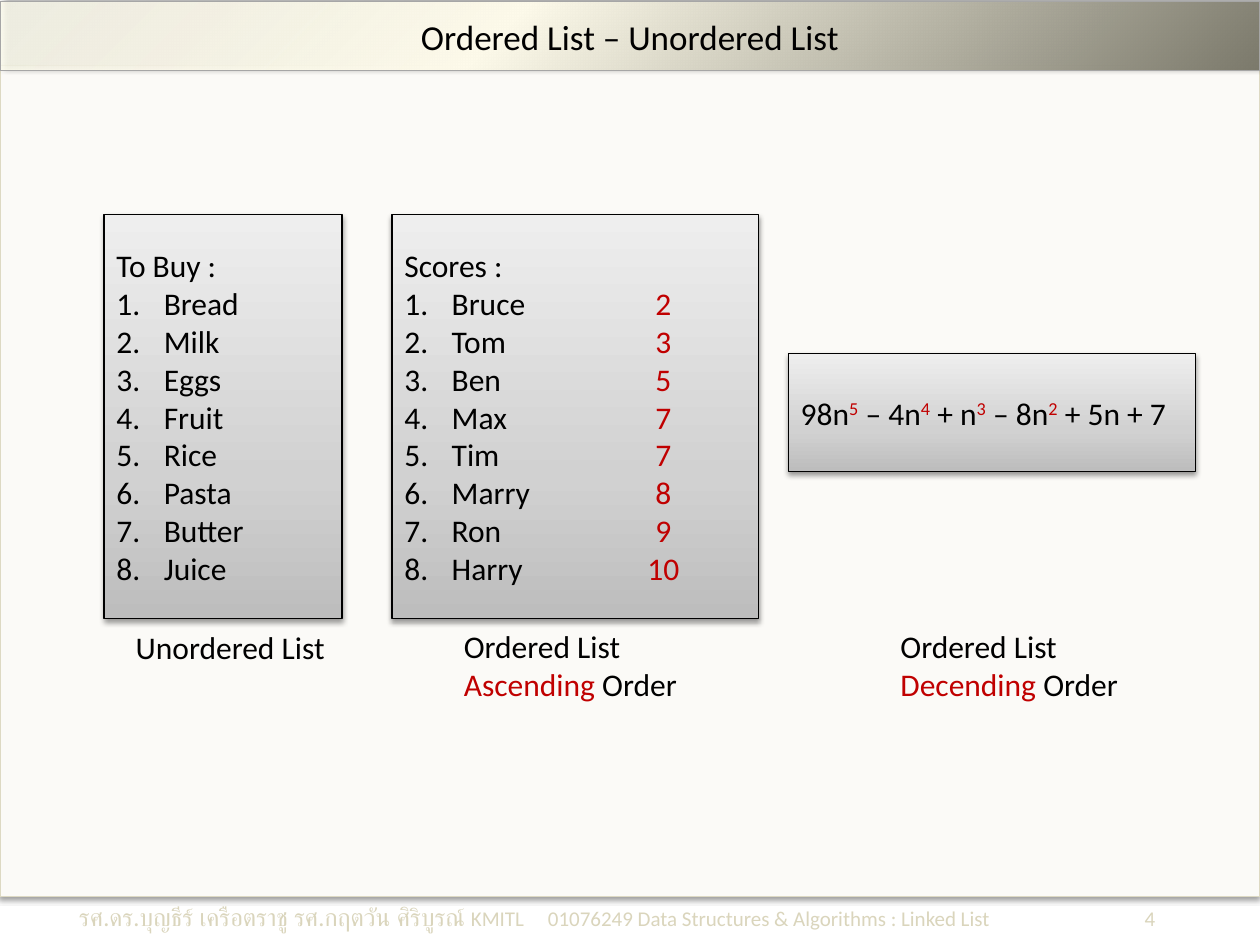
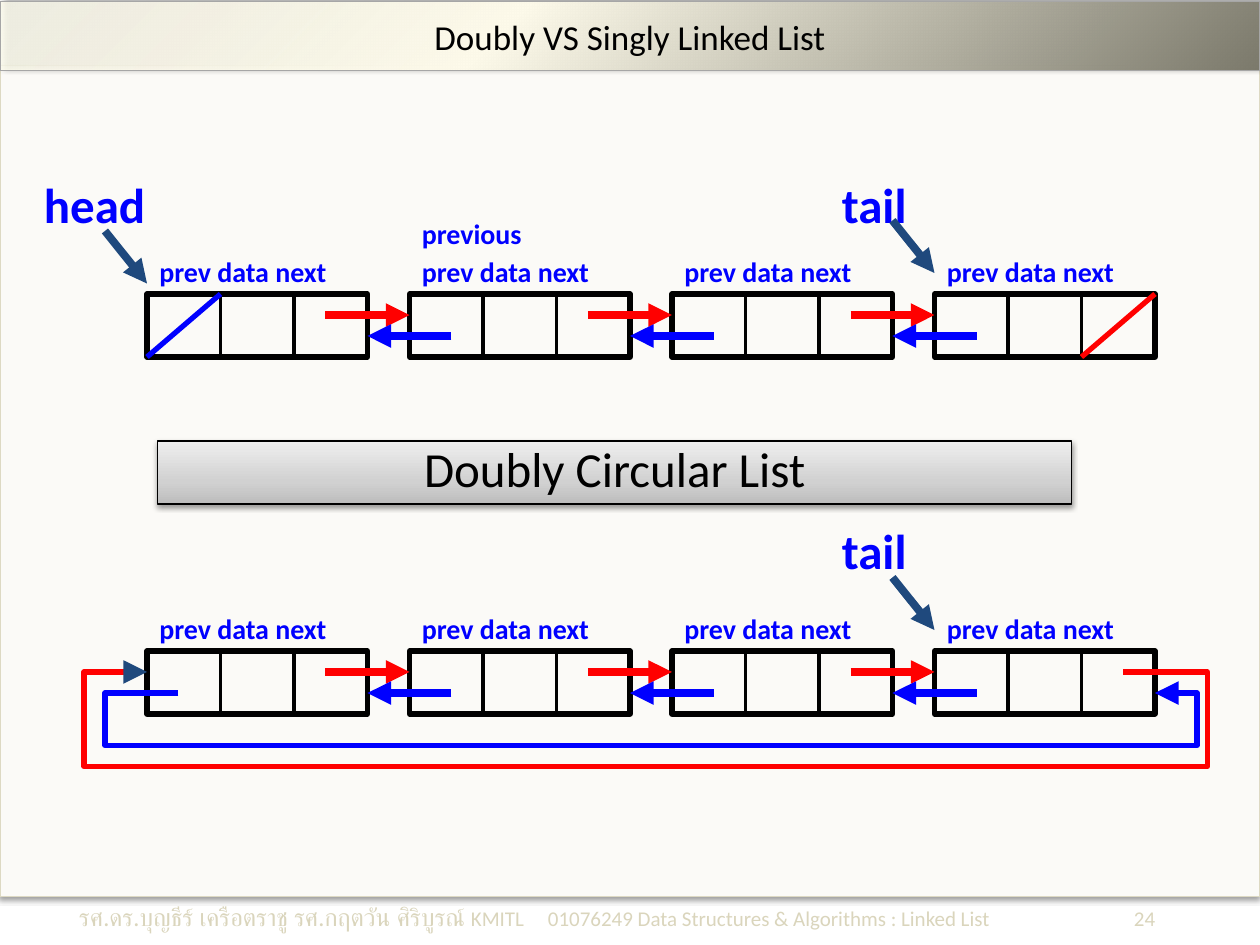
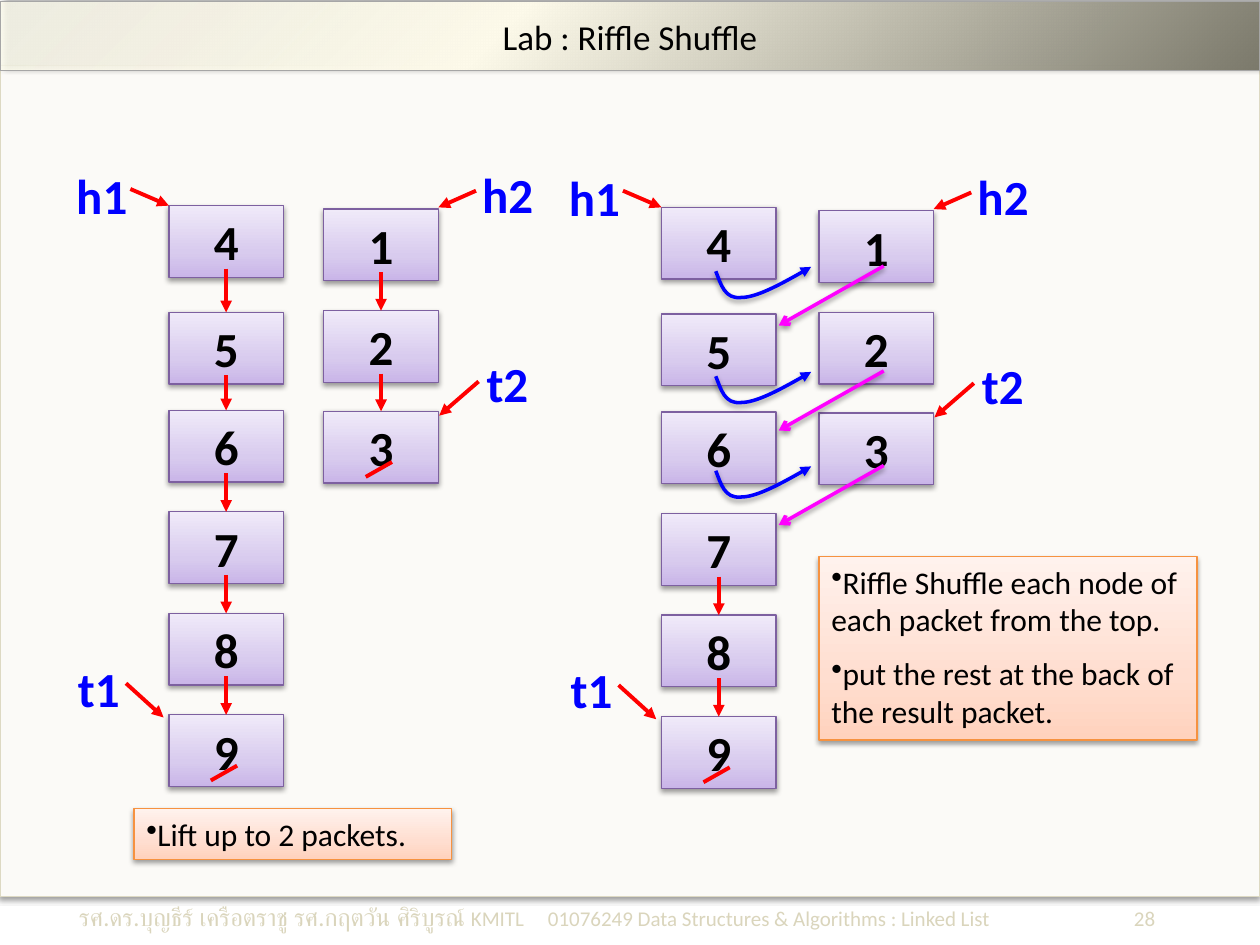
from dataclasses import dataclass

from lxml.etree import SubElement
from pptx import Presentation
from pptx.dml.color import RGBColor
from pptx.enum.shapes import MSO_CONNECTOR, MSO_SHAPE
from pptx.enum.text import MSO_ANCHOR as ANCHOR, PP_ALIGN as ALIGN
from pptx.oxml.ns import qn
from pptx.util import Pt


@dataclass(frozen=True)
class Theme:
    font: str = "Calibri"
    # type sizes
    title: int = 20
    body: int = 18
    large: int = 28
    label: int = 16
    thai: int = 14
    small: int = 12
    # colours
    black: str = "000000"
    accent: str = "C00000"
    red: str = "FF0000"
    blue: str = "0000FF"
    navy: str = "1F497D"
    magenta: str = "FF00FF"
    panel: str = "FBFAF7"
    panel_line: str = "DDD9C3"
    footer: str = "DAD5BC"
    band_line: str = "A6A6A6"
    violet_line: str = "7D60A0"
    orange_line: str = "F69240"
    # gradients: angle, then (position, colour, opacity) in percent
    band: tuple = (45, (0, "FEFCEE", 79), (40, "FDFAEA", 100), (100, "7B796B", 100))
    grey: tuple = (270, (0, "BDBDBD", 100), (35, "D1D1D1", 100), (100, "EEEEEE", 100))
    violet: tuple = (270, (0, "C9B5E8", 100), (35, "D8CBEE", 100), (100, "F0EAF9", 100))
    orange: tuple = (270, (0, "FFD2BD", 100), (35, "FFDED0", 100), (100, "FFF2ED", 100))
    # shadows: opacity, blur, distance, direction
    drop: tuple = (38, 3.1, 1.6, 90)
    band_drop: tuple = (40, 4, 3, 315)


T = Theme()


# ---- formatting helpers ----
def rgb(value):
    return RGBColor.from_string(value)


def child(parent, tag, **attrs):
    return SubElement(parent, qn(tag), {k: str(v) for k, v in attrs.items()})


def color_node(parent, color, opacity):
    node = child(parent, "a:srgbClr", val=color)
    child(node, "a:alpha", val=opacity * 1000)


def set_fill(sp, fill):
    if isinstance(fill, str):
        sp.fill.solid()
        sp.fill.fore_color.rgb = rgb(fill)
        return
    sp.fill.background()
    if fill:
        angle, *stops = fill
        spPr = sp._element.spPr
        empty = spPr.find(qn("a:noFill"))
        grad = child(spPr, "a:gradFill", rotWithShape=1)
        spPr.replace(empty, grad)
        stop_list = child(grad, "a:gsLst")
        for pos, color, opacity in stops:
            color_node(child(stop_list, "a:gs", pos=pos * 1000), color, opacity)
        child(grad, "a:lin", ang=angle * 60000, scaled=0)


def set_line(sp, color, width, head=None):
    sp.line.color.rgb = rgb(color)
    sp.line.width = Pt(width)
    if head:
        child(sp.line._get_or_add_ln(), "a:tailEnd", type=head)


def set_shadow(sp, shadow):
    spPr = sp._element.spPr
    effects = spPr.find(qn("a:effectLst"))
    if effects is None:
        effects = child(spPr, "a:effectLst")
    if shadow:
        opacity, blur, dist, angle = shadow
        node = child(effects, "a:outerShdw", blurRad=Pt(blur), dist=Pt(dist),
                     dir=angle * 60000, rotWithShape=0)
        color_node(node, T.black, opacity)


def style(sp, fill, line, width=0.75, shadow=T.drop):
    sp.shadow.inherit = False
    set_fill(sp, fill)
    set_line(sp, line, width)
    set_shadow(sp, shadow)


def place(sp, box):
    sp.left, sp.top, sp.width, sp.height = map(Pt, box)


def set_tabs(p, *stops):
    tabs = child(p._p.get_or_add_pPr(), "a:tabLst")
    for pos, align in stops:
        child(tabs, "a:tab", pos=Pt(pos), algn=align)


def add_number(p):
    pPr = p._p.get_or_add_pPr()
    pPr.set("marL", str(Pt(27)))
    pPr.set("indent", str(-Pt(27)))
    child(pPr, "a:buAutoNum", type="arabicPeriod")


def add_bullet(p):
    child(p._p.get_or_add_pPr(), "a:buChar", char="•")


def accent(text, raised=False):
    return text, raised


def write(tf, lines, size=T.body, color=T.black, bold=False, align=ALIGN.LEFT,
          anchor=ANCHOR.TOP, prepare=None):
    """Each line is a string or a list of strings and accent() parts."""
    tf.word_wrap = True
    tf.vertical_anchor = anchor
    for i, line in enumerate(lines):
        p = tf.paragraphs[0] if i == 0 else tf.add_paragraph()
        if prepare:
            prepare(i, p)
        p.alignment = align
        p.font.name, p.font.size, p.font.bold = T.font, Pt(size), bold
        p.font.color.rgb = rgb(color)
        for part in [line] if isinstance(line, str) else line:
            r = p.add_run()
            if isinstance(part, str):
                r.text = part
                continue
            r.text, raised = part
            r.font.color.rgb = rgb(T.accent)
            if raised:
                r.font._element.set("baseline", "30000")


# ---- drawing helpers ----
def add_box(s, box, fill, line, width=0.75, shadow=T.drop):
    sp = s.shapes.add_shape(MSO_SHAPE.RECTANGLE, *map(Pt, box))
    style(sp, fill, line, width, shadow)
    return sp


def add_text(s, box, lines, **fmt):
    sp = s.shapes.add_textbox(*map(Pt, box))
    write(sp.text_frame, lines, **fmt)
    return sp


def add_label(s, box, text, size=T.large):
    add_text(s, box, [text], size=size, color=T.blue, bold=True)


def add_line(s, x, y, start, end, color, width, head=None, shadow=None):
    """Draw from start to end, both relative to (x, y)."""
    cx = s.shapes.add_connector(MSO_CONNECTOR.STRAIGHT, Pt(x + start[0]), Pt(y + start[1]),
                                Pt(x + end[0]), Pt(y + end[1]))
    set_line(cx, color, width, head)
    set_shadow(cx, shadow)
    return cx


def add_outline(s, x, y, points, color, width, shadow=None, head=None, curved=False):
    """Open outline; when curved, every three points after the first form a Bézier."""
    first, *rest = [(Pt(x + dx), Pt(y + dy)) for dx, dy in points]
    builder = s.shapes.build_freeform(*first)
    builder.add_line_segments(rest, close=False)
    sp = builder.convert_to_shape()
    style(sp, None, color, width, shadow)
    if head:
        child(sp.line._get_or_add_ln(), "a:tailEnd", type=head)
    if curved:
        segments = list(sp._element.iter(qn("a:lnTo")))
        for i in range(0, len(segments), 3):
            bezier = segments[i].makeelement(qn("a:cubicBezTo"))
            segments[i].addprevious(bezier)
            for seg in segments[i:i + 3]:
                bezier.append(seg[0])
                seg.getparent().remove(seg)


# ---- shared frame: panel, title band, footer ----
def add_slide(prs, title, number):
    s = prs.slides.add_slide(prs.slide_layouts[5])
    panel = add_box(s, (0, 37.5, 720, 475), T.panel, T.panel_line)
    s.shapes._spTree.insert(2, panel._element)

    band = s.shapes.title
    place(band, (0, 1, 720, 39.5))
    style(band, T.band, T.band_line, shadow=T.band_drop)
    write(band.text_frame, [title], T.title, align=ALIGN.CENTER, anchor=ANCHOR.MIDDLE)

    parts = ["รศ.ดร.บุญธีร์ เครือตราชู รศ.กฤตวัน ศิริบูรณ์", "\tKMITL",
             "\t01076249 Data Structures & Algorithms : Linked List", f"\t{number}"]
    footer = add_text(s, (38, 512, 646.5, 26.5), [parts], size=T.small, color=T.footer,
                      prepare=lambda i, p: set_tabs(p, (224, "l"), (268, "l"), (615, "r")))
    footer.text_frame.paragraphs[0].runs[0].font.size = Pt(T.thai)
    return s


# ---- slide 1: lists ----
def add_list(s, box, lines, caption, caption_box):
    def prepare(i, p):
        if i:
            add_number(p)
            set_tabs(p, (148, "ctr"))

    sp = add_box(s, box, T.grey, T.black)
    write(sp.text_frame, lines, anchor=ANCHOR.MIDDLE, prepare=prepare)
    x, y, w, h = caption_box
    add_text(s, (box[0] + x, box[1] + y, w, h), caption)


def ordered_slide(prs):
    s = add_slide(prs, "Ordered List – Unordered List", 4)
    groceries = ["Bread", "Milk", "Eggs", "Fruit", "Rice", "Pasta", "Butter", "Juice"]
    scores = [("Bruce", 2), ("Tom", 3), ("Ben", 5), ("Max", 7),
              ("Tim", 7), ("Marry", 8), ("Ron", 9), ("Harry", 10)]
    polynomial = ["98n", accent("5", True), " – 4n", accent("4", True), " + n",
                  accent("3", True), " – 8n", accent("2", True), " + 5n + 7"]
    add_list(s, (59.5, 122.5, 136, 231), ["To Buy :", *groceries],
             ["Unordered List"], (11, 233, 124, 29))
    add_list(s, (224, 122.5, 209.5, 231),
             ["Scores :", *([f"{name}\t", accent(str(n))] for name, n in scores)],
             ["Ordered List", [accent("Ascending"), " Order"]], (34, 232.5, 138, 51))
    add_list(s, (450.5, 202, 232.5, 67.5), [polynomial],
             ["Ordered List", [accent("Decending"), " Order"]], (57, 153, 141, 51))


# ---- slide 2: linked lists ----
NODES, PITCH, CELL, NODE_H = 4, 150, 42, 36


def add_chain(s, x, y, tail_y):
    for i in range(NODES):
        left = x + i * PITCH
        add_box(s, (left, y, 3 * CELL, NODE_H), None, T.black, 3, None)
        for dx in (CELL, 2 * CELL):
            add_line(s, left, y, (dx, 0), (dx, NODE_H), T.black, 2.25)
        add_label(s, (left, y - 26, 138, 27), "prev data next", T.label)
    for i in range(NODES - 1):
        left = x + i * PITCH
        add_line(s, left, y, (102, 12), (150, 12), T.red, 4.5, "triangle")
        add_line(s, left, y, (174, 24), (126, 24), T.blue, 4.5, "triangle")
    add_label(s, (x + 390, y + tail_y, 66, 41), "tail")
    add_line(s, x, y, (426, -42), (450, -12), T.navy, 4.5, "triangle")


def add_open_ends(s, x, y):
    add_label(s, (x - 66, y - 72, 90, 41), "head")
    add_line(s, x, y, (-24, -36), (0, -6), T.navy, 4.5, "triangle")
    add_label(s, (x + PITCH, y - 48, 78, 27), "previous", T.label)
    add_line(s, x, y, (0, NODE_H), (CELL, 0), T.blue, 3)
    add_line(s, x, y, (534, NODE_H), (576, 0), T.red, 3)


def add_loops(s, x, y):
    forward = [(558, 12), (606, 12), (606, 66), (-36, 66), (-36, 12), (-6, 12)]
    backward = [(18, 24), (-24, 24), (-24, 54), (600, 54), (600, 24), (582, 24)]
    add_outline(s, x, y, forward, T.red, 3)
    add_line(s, x, y, forward[-1], (0, 12), T.navy, 4.5, "triangle")
    add_outline(s, x, y, backward, T.blue, 3)
    add_line(s, x, y, backward[-1], (576, 24), T.blue, 4.5, "triangle")


def linked_slide(prs):
    s = add_slide(prs, "Doubly VS Singly Linked List", 24)
    banner = add_box(s, (90, 252, 522.5, 36), T.grey, T.black)
    write(banner.text_frame, ["Doubly Circular List"], T.large,
          align=ALIGN.CENTER, anchor=ANCHOR.BOTTOM)
    add_chain(s, 84, 168, -72)
    add_open_ends(s, 84, 168)
    add_chain(s, 84, 372, -78)
    add_loops(s, 84, 372)


# ---- slide 3: riffle shuffle ----
CARD_W, CARD_H = 65.5, 41
LEFT_TOPS = (0, 61, 117, 175, 233, 291)
RIGHT_TOPS = (2, 60, 117.5)


def add_packet(s, x, y, tops, first, linked_from=0, closed=True):
    """Cards in a column, with arrows from card linked_from on."""
    cards = []
    for i, top in enumerate(tops):
        sp = add_box(s, (x, y + top, CARD_W, CARD_H), T.violet, T.violet_line)
        write(sp.text_frame, [str(first + i)], T.large, bold=True, align=ALIGN.CENTER)
        cards.append(sp)
    for i in range(linked_from, len(tops) - 1):
        start = (CARD_W / 2, tops[i] + CARD_H - 5)
        link = add_line(s, x, y, start, (CARD_W / 2, tops[i + 1]), T.red, 2.25, "triangle")
        link.end_connect(cards[i + 1], 0)
    if closed:
        add_line(s, x, y + tops[-1], (24, 37.5), (39, 29), T.red, 2.25)


def add_pointer(s, x, y, text, at, start, end):
    add_label(s, (x + at[0], y + at[1], 52, CARD_H), text)
    add_line(s, x, y, start, end, T.red, 2.25, "triangle")


def add_packets(s, x, y, gap, shuffled=False):
    add_packet(s, x, y, LEFT_TOPS, 4, linked_from=3 if shuffled else 0)
    add_pointer(s, x, y, "h1", (-60, -26.5), (-22, -9.5), (0, 0))
    add_pointer(s, x, y, "t1", (-59, 255), (-24.5, 273), (-3, 292.5))
    right = x + gap
    add_packet(s, right, y, RIGHT_TOPS, 1, len(RIGHT_TOPS) if shuffled else 0, not shuffled)
    add_pointer(s, right, y, "h2", (83.5, -27), (87, -8.5), (65.5, 1))
    add_pointer(s, right, y, "t2", (86, 81), (88.5, 100.5), (66, 120))


def add_cross_links(s, x, y):
    curve = [(31, 37), (34, 44.5), (36, 53), (45.5, 52), (54, 52), (70, 43.5), (85.5, 34.5)]
    for dy in (0, 60, 114):
        add_outline(s, x, y + dy, curve, T.blue, 2, T.drop, "triangle", curved=True)
        add_line(s, x, y + dy, (127, 34), (67, 68), T.magenta, 2, "arrow", T.drop)


def add_note(s, box, lines):
    def prepare(i, p):
        add_bullet(p)
        if i:
            p.space_before = Pt(T.body / 2)

    sp = add_box(s, box, T.orange, T.orange_line)
    write(sp.text_frame, lines, prepare=prepare)


def shuffle_slide(prs):
    s = add_slide(prs, "Lab : Riffle Shuffle", 28)
    add_packets(s, 96.5, 117.5, 88.5)
    add_packets(s, 378, 118.5, 90, shuffled=True)
    add_cross_links(s, 378, 118)
    add_note(s, (468, 318, 216, 105),
             ["Riffle Shuffle each node of each packet from the top.",
              "put the rest at the back of the result packet."])
    add_note(s, (76.5, 462, 181.5, 29), ["Lift up to 2 packets."])


def main():
    prs = Presentation()
    prs.slide_width, prs.slide_height = Pt(720), Pt(540)
    ordered_slide(prs)
    linked_slide(prs)
    shuffle_slide(prs)
    prs.save("out.pptx")


if __name__ == "__main__":
    main()
